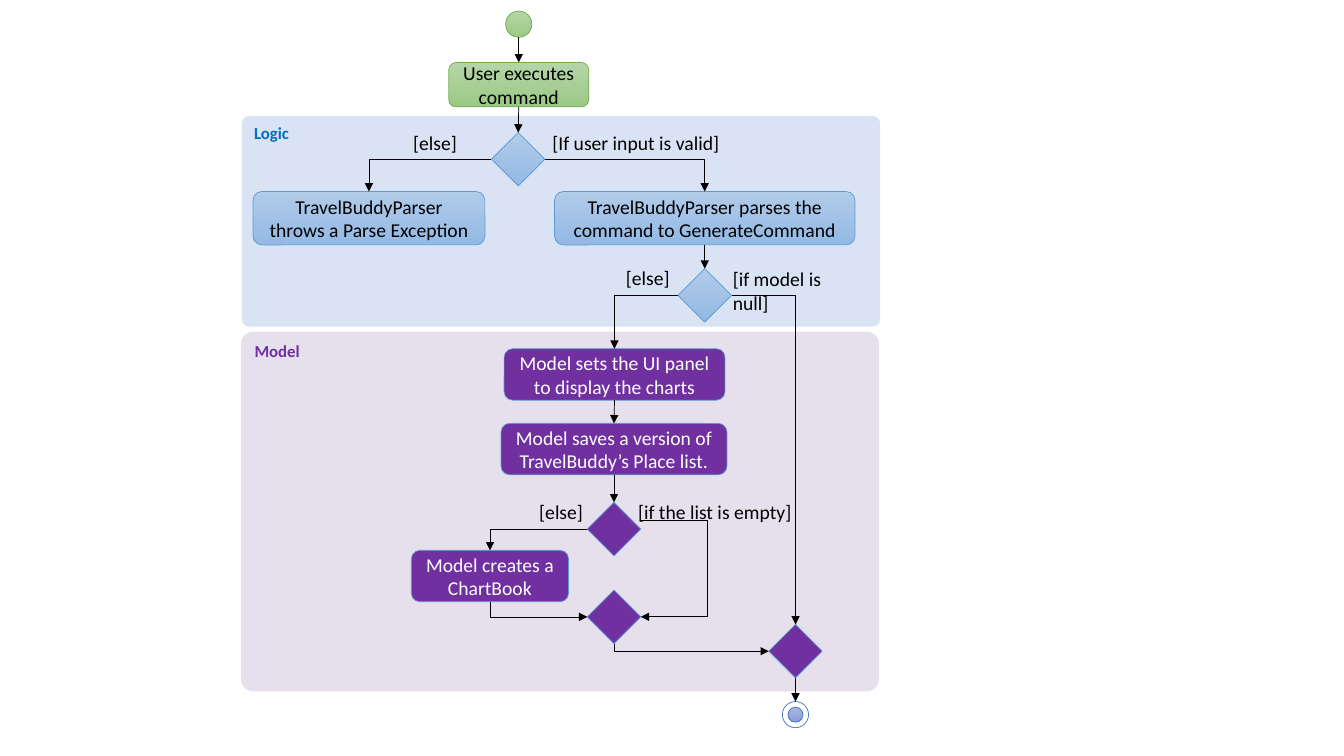
from lxml import etree
from pptx import Presentation
from pptx.dml.color import RGBColor
from pptx.enum.shapes import MSO_CONNECTOR, MSO_SHAPE
from pptx.enum.text import MSO_ANCHOR, PP_ALIGN
from pptx.oxml.ns import qn
from pptx.util import Inches, Pt

ROUNDED = MSO_SHAPE.ROUNDED_RECTANGLE
DIAMOND = MSO_SHAPE.DIAMOND
OVAL = MSO_SHAPE.OVAL
STRAIGHT = MSO_CONNECTOR.STRAIGHT
ELBOW = MSO_CONNECTOR.ELBOW
CENTER = PP_ALIGN.CENTER
TOP, MIDDLE = MSO_ANCHOR.TOP, MSO_ANCHOR.MIDDLE

FONT = "Calibri"
BLACK, WHITE = "000000", "FFFFFF"
# Each style: fill (one colour or a top and bottom colour), outline, text colour
GREEN = (("B5D5A7", "9CC987"), "70AD47", BLACK)
BLUE = (("B1CBE9", "93B9E4"), "5B9BD5", BLACK)
PURPLE = (("7030A0",), "5B9BD5", WHITE)
END_RING = ((WHITE,), "4472C4", BLACK)
END_DOT = (("A8B7DF", "889ED7"), "4472C4", BLACK)
DIAMOND_SIZE = 0.53
CIRCLE_SIZE = 0.26
TOP_SITE, LEFT_SITE, BOTTOM_SITE, RIGHT_SITE = range(4)


def color(value):
    return RGBColor.from_string(value)


def write(shape, text, size, text_color, bold=False):
    shape.text_frame.word_wrap = True
    shape.text_frame.text = text
    font = shape.text_frame.paragraphs[0].runs[0].font
    font.name, font.size, font.bold = FONT, Pt(size), bold
    font.color.rgb = color(text_color)


def add_node(slide, kind, box, style):
    fill_colors, outline, _ = style
    shape = slide.shapes.add_shape(kind, *map(Inches, box))
    shape.shadow.inherit = False
    if len(fill_colors) == 1:
        shape.fill.solid()
        shape.fill.fore_color.rgb = color(fill_colors[0])
    else:
        shape.fill.gradient()
        shape.fill.gradient_angle = 270
        for stop, value in zip(shape.fill.gradient_stops, fill_colors):
            stop.color.rgb = color(value)
    shape.line.color.rgb = color(outline)
    shape.line.width = Pt(0.5)
    return shape


def add_centered(slide, kind, center_x, center_y, size, style):
    box = (center_x - size / 2, center_y - size / 2, size, size)
    return add_node(slide, kind, box, style)


def add_diamond(slide, center_x, center_y, style):
    return add_centered(slide, DIAMOND, center_x, center_y, DIAMOND_SIZE, style)


def add_step(slide, text, box, style):
    step = add_node(slide, ROUNDED, box, style)
    write(step, text, 14, style[2])
    step.text_frame.vertical_anchor = MIDDLE
    step.text_frame.paragraphs[0].alignment = CENTER
    return step


def add_condition(slide, text, left, top, width):
    label = slide.shapes.add_textbox(*map(Inches, (left, top, width, 0.34)))
    write(label, text, 14, BLACK)


def add_zone(slide, name, box, fill, text_color):
    zone = add_node(slide, ROUNDED, box, ((fill,), fill, text_color))
    zone.line.fill.background()
    zone.adjustments[0] = 0.035
    write(zone, name, 12, text_color, bold=True)
    zone.text_frame.vertical_anchor = TOP
    zone.text_frame.paragraphs[0].alignment = PP_ALIGN.LEFT


def add_arrow(slide, kind, start, end):
    arrow = slide.shapes.add_connector(kind, *start, *end)
    arrow.line.color.rgb = color(BLACK)
    arrow.line.width = Pt(0.5)
    etree.SubElement(arrow.line._get_or_add_ln(), qn("a:tailEnd"), type="triangle")
    etree.SubElement(arrow._element.spPr, qn("a:effectLst"))
    return arrow


def site(shape, index):
    """Return the middle of one side of a shape."""
    middle_x, middle_y = shape.left + shape.width // 2, shape.top + shape.height // 2
    return ((middle_x, shape.top), (shape.left, middle_y),
            (middle_x, shape.top + shape.height),
            (shape.left + shape.width, middle_y))[index]


def arrow_down(slide, upper, lower):
    arrow = add_arrow(slide, STRAIGHT, site(upper, BOTTOM_SITE), site(lower, TOP_SITE))
    if upper.auto_shape_type != OVAL:
        arrow.begin_connect(upper, BOTTOM_SITE)
    arrow.end_connect(lower, TOP_SITE)


def arrow_across_then_down(slide, source, side, target):
    arrow = add_arrow(slide, ELBOW, site(source, side), site(target, TOP_SITE))
    arrow._element.spPr.find(qn("a:prstGeom")).set("prst", "bentConnector2")


def arrow_down_then_right(slide, source, target):
    """Draw a one-bend connector, laid out sideways and turned by 270 degrees."""
    (x1, y1), (x2, y2) = site(source, BOTTOM_SITE), site(target, LEFT_SITE)
    middle_x, middle_y = (x1 + x2) // 2, (y1 + y2) // 2
    half_width, half_height = (x2 - x1) // 2, (y2 - y1) // 2
    arrow = add_arrow(slide, ELBOW,
                      (middle_x + half_height, middle_y - half_width),
                      (middle_x - half_height, middle_y + half_width))
    arrow._element.spPr.find(qn("a:prstGeom")).set("prst", "bentConnector2")
    arrow._element.spPr.find(qn("a:xfrm")).set("rot", str(270 * 60000))


def arrow_around_right(slide, source, target, reach):
    """Leave the source just above its right corner and loop back into the target."""
    x, y = site(source, RIGHT_SITE)
    end_x, end_y = site(target, RIGHT_SITE)
    step = Inches(0.01)
    arrow = add_arrow(slide, ELBOW, (x - step, y - Inches(0.09)), (end_x, end_y))
    geometry = arrow._element.spPr.find(qn("a:prstGeom"))
    guides = geometry.find(qn("a:avLst"))
    bend = round((Inches(reach) + step) / step * 100000)
    etree.SubElement(guides, qn("a:gd"), name="adj1", fmla=f"val {bend}")


def draw_start(slide, left, top, width):
    center = left + width / 2
    start = add_centered(slide, OVAL, center, top + 0.13, CIRCLE_SIZE, GREEN)
    command = add_step(slide, "User executes command", (left, top + 0.51, width, 0.44), GREEN)
    arrow_down(slide, start, command)
    return command


def draw_logic(slide, left, top, width, height):
    """Draw the Logic zone and return its first and last decisions."""
    add_zone(slide, "Logic", (left, top, width, height), "DAE3F3", "0070C0")
    valid = add_diamond(slide, left + 2.74, top + 0.43, BLUE)
    failure = add_step(slide, "TravelBuddyParser throws a Parse Exception",
                       (left + 0.11, top + 0.75, 2.3, 0.53), BLUE)
    parsing = add_step(slide, "TravelBuddyParser parses the command to GenerateCommand",
                       (left + 3.1, top + 0.75, 2.98, 0.53), BLUE)
    null_check = add_diamond(slide, left + 4.59, top + 1.78, BLUE)
    for text, x, y, label_width in (("[else]", 1.6, 0.1, 0.77),
                                    ("[If user input is valid]", 2.98, 0.1, 1.86),
                                    ("[else]", 3.71, 1.44, 0.72),
                                    ("[if model is null]", 4.77, 1.45, 1.47)):
        add_condition(slide, text, left + x, top + y, label_width)
    arrow_across_then_down(slide, valid, LEFT_SITE, failure)
    arrow_across_then_down(slide, valid, RIGHT_SITE, parsing)
    arrow_down(slide, parsing, null_check)
    return valid, null_check


def draw_model(slide, left, top, width, height):
    """Draw the Model zone and return its first step and final merge."""
    add_zone(slide, "Model", (left, top, width, height), "E6E0EC", "7030A0")
    panel = add_step(slide, "Model sets the UI panel to display the charts",
                     (left + 2.61, top + 0.17, 2.19, 0.51), PURPLE)
    saving = add_step(slide, "Model saves a version of TravelBuddy’s Place list.",
                      (left + 2.58, top + 0.91, 2.24, 0.51), PURPLE)
    chart_book = add_step(slide, "Model creates a ChartBook",
                          (left + 1.69, top + 2.17, 1.56, 0.51), PURPLE)
    empty_check = add_diamond(slide, left + 3.7, top + 1.96, PURPLE)
    list_merge = add_diamond(slide, left + 3.7, top + 2.83, PURPLE)
    final_merge = add_diamond(slide, left + 5.5, top + 3.17, PURPLE)
    add_condition(slide, "[else]", left + 2.86, top + 1.62, 0.66)
    add_condition(slide, "[if the list is empty]", left + 3.84, top + 1.62, 1.76)
    arrow_down(slide, panel, saving)
    arrow_down(slide, saving, empty_check)
    arrow_across_then_down(slide, empty_check, LEFT_SITE, chart_book)
    arrow_down_then_right(slide, chart_book, list_merge)
    arrow_around_right(slide, empty_check, list_merge, 0.67)
    arrow_down_then_right(slide, list_merge, final_merge)
    return panel, final_merge


def draw_end(slide, center_x, center_y):
    ring = add_centered(slide, OVAL, center_x, center_y, CIRCLE_SIZE, END_RING)
    add_centered(slide, OVAL, center_x, center_y, 0.15, END_DOT)
    return ring


def main():
    presentation = Presentation()
    presentation.slide_width, presentation.slide_height = Inches(13.33), Inches(7.5)
    slide = presentation.slides.add_slide(presentation.slide_layouts[6])
    command = draw_start(slide, 4.45, 0.11, 1.39)
    valid, null_check = draw_logic(slide, 2.4, 1.15, 6.33, 2.09)
    panel, final_merge = draw_model(slide, 2.39, 3.29, 6.33, 3.57)
    end = draw_end(slide, 7.89, 7.09)
    arrow_down(slide, command, valid)
    arrow_across_then_down(slide, null_check, LEFT_SITE, panel)
    arrow_across_then_down(slide, null_check, RIGHT_SITE, final_merge)
    arrow_down(slide, final_merge, end)
    presentation.save("out.pptx")


if __name__ == "__main__":
    main()
